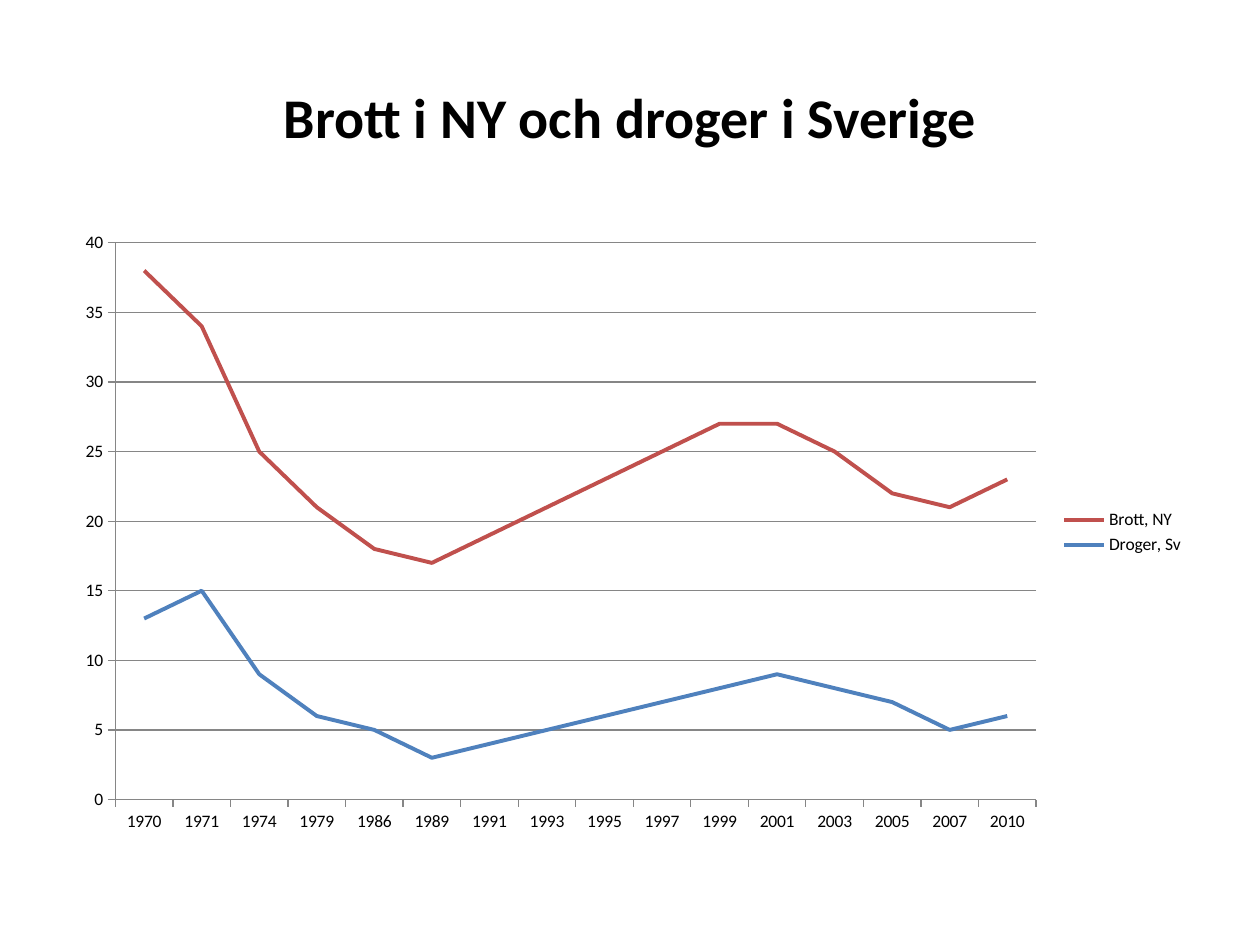
from pptx import Presentation
from pptx.chart.data import CategoryChartData
from pptx.dml.color import RGBColor
from pptx.enum.chart import XL_CHART_TYPE as ChartType
from pptx.enum.chart import XL_LEGEND_POSITION as LegendPosition
from pptx.enum.chart import XL_TICK_MARK as TickMark
from pptx.enum.text import MSO_ANCHOR as Anchor
from pptx.enum.text import PP_ALIGN as Align
from pptx.util import Inches, Pt

BLACK = RGBColor(0x00, 0x00, 0x00)
GRAY = RGBColor(0x86, 0x86, 0x86)
BLUE = RGBColor(0x4F, 0x81, 0xBD)
RED = RGBColor(0xC0, 0x50, 0x4D)

YEARS = ["1970", "1971", "1974", "1979", "1986", "1989", "1991", "1993",
         "1995", "1997", "1999", "2001", "2003", "2005", "2007", "2010"]
TRENDS = [
    ("Droger, Sv", BLUE, [13, 15, 9, 6, 5, 3, 4, 5, 6, 7, 8, 9, 8, 7, 5, 6]),
    ("Brott, NY", RED,
     [25, 19, 16, 15, 13, 14, 15, 16, 17, 18, 19, 18, 17, 15, 16, 17]),
]


class SlideBuilder:
    font_name = "Calibri"

    def __init__(self, slide):
        self.slide = slide

    def style_font(self, font, size, bold=False):
        font.name = self.font_name
        font.size = Pt(size)
        font.bold = bold
        font.color.rgb = BLACK

    def title(self, text, left, top, width, height):
        heading = self.slide.shapes.title
        heading.left, heading.top = Inches(left), Inches(top)
        heading.width, heading.height = Inches(width), Inches(height)
        heading.text_frame.text = text
        heading.text_frame.vertical_anchor = Anchor.MIDDLE
        paragraph = heading.text_frame.paragraphs[0]
        paragraph.alignment = Align.CENTER
        self.style_font(paragraph.font, 32, bold=True)

    def stacked_lines(self, categories, trends, left, top, width, height):
        data = CategoryChartData()
        data.categories = categories
        for name, _, values in trends:
            data.add_series(name, values)
        chart = self.slide.shapes.add_chart(
            ChartType.LINE_STACKED, Inches(left), Inches(top),
            Inches(width), Inches(height), data).chart
        self.style_font(chart.font, 10)
        chart.has_title = False
        chart.has_legend = True
        chart.legend.position = LegendPosition.RIGHT
        chart.legend.include_in_layout = False

        plot = chart.plots[0]
        plot.vary_by_categories = False
        for series, (_, color, _) in zip(plot.series, trends):
            series.smooth = False
            series.format.line.color.rgb = color
            series.format.line.width = Pt(2.25)

        for axis in (chart.category_axis, chart.value_axis):
            axis.major_tick_mark = TickMark.OUTSIDE
            axis.minor_tick_mark = TickMark.NONE
            self.thin_line(axis.format.line)
        scale = chart.value_axis
        scale.minimum_scale, scale.maximum_scale, scale.major_unit = 0, 40, 5
        scale.has_major_gridlines = True
        self.thin_line(scale.major_gridlines.format.line)

    def thin_line(self, line):
        line.color.rgb = GRAY
        line.width = Pt(0.75)


def main():
    presentation = Presentation()
    presentation.slide_width = Inches(10)
    presentation.slide_height = Inches(7.5)
    title_only = presentation.slide_layouts[5]
    builder = SlideBuilder(presentation.slides.add_slide(title_only))
    builder.title("Brott i NY och droger i Sverige", 0.5, 0.3, 9, 1.25)
    builder.stacked_lines(YEARS, TRENDS, 0.5, 1.75, 9, 4.95)
    presentation.save("out.pptx")


if __name__ == "__main__":
    main()
